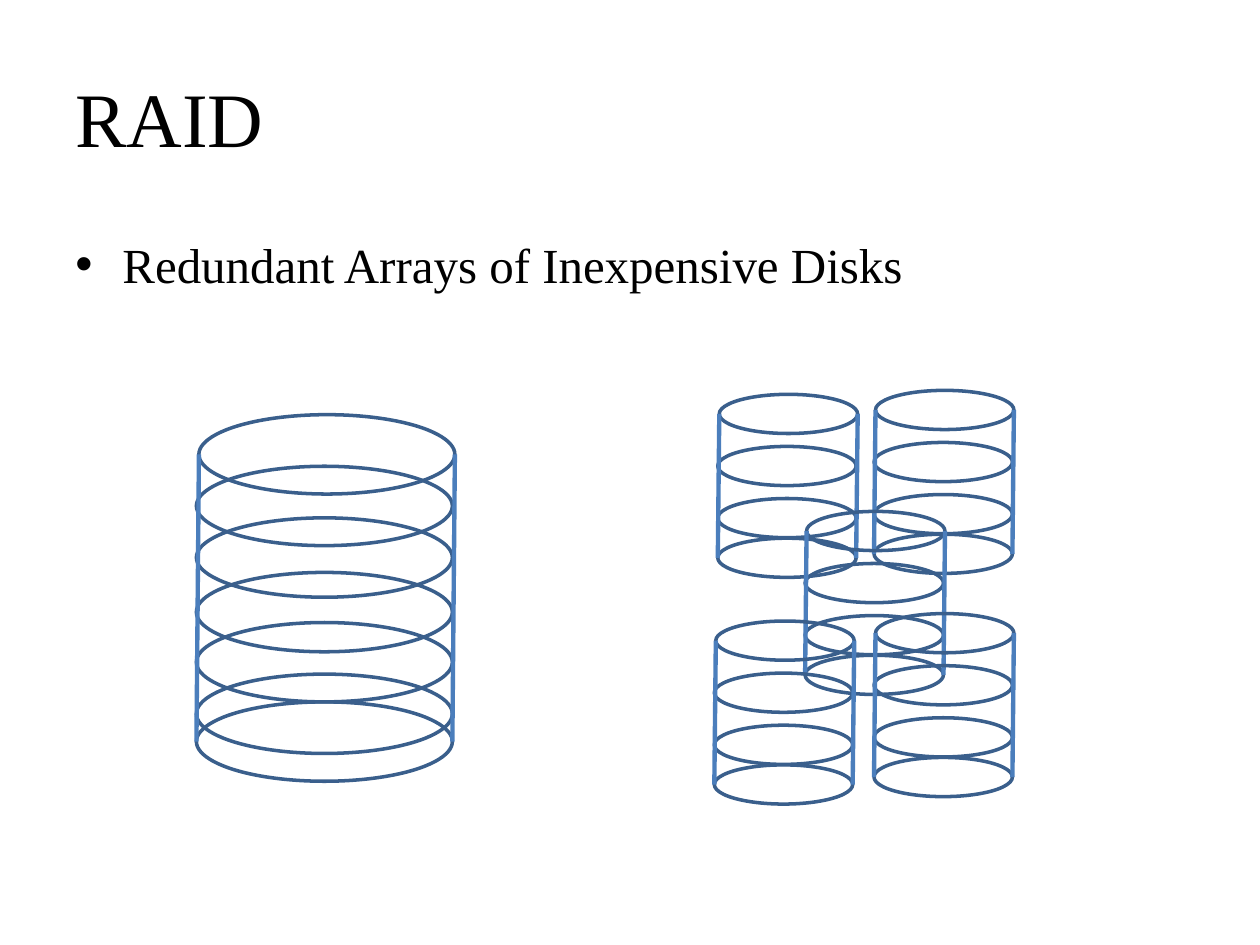
from dataclasses import dataclass

from lxml.etree import SubElement
from pptx import Presentation
from pptx.dml.color import RGBColor
from pptx.enum.shapes import MSO_CONNECTOR, MSO_SHAPE
from pptx.enum.text import MSO_ANCHOR
from pptx.oxml.ns import qn
from pptx.util import Cm, Pt

FONT = "Times New Roman"
TEXT_COLOR = "000000"
PLATTER_COLOR = "3A5F8C"
SIDE_COLOR = "4B7EBC"


@dataclass(frozen=True)
class DiskModel:
    """Disk proportions in cm; platter drops are measured from the top one."""
    width: float
    platter_height: float
    drops: tuple[float, ...]
    lean: float


@dataclass(frozen=True)
class Disk:
    left: float
    top: float
    model: DiskModel


LARGE = DiskModel(5.16, 1.6, (0, 1.04, 2.08, 3.18, 4.19, 5.23, 5.79), 0.05)
SMALL = DiskModel(2.79, 0.79, (0, 1.05, 2.1, 2.9), 0.03)

DISK_ARRAY = [
    Disk(14.5, 7.95, SMALL),
    Disk(17.65, 7.87, SMALL),
    Disk(16.26, 10.31, SMALL),
    Disk(14.43, 12.52, SMALL),
    Disk(17.65, 12.37, SMALL),
]
SINGLE_DISK = Disk(4.01, 8.36, LARGE)


def color(value: str) -> RGBColor:
    return RGBColor.from_string(value)


def add_text(slide, top: float, height: float, text: str, size: int):
    box = slide.shapes.add_textbox(Cm(1.27), Cm(top), Cm(22.86), Cm(height))
    frame = box.text_frame
    frame.word_wrap = True
    run = frame.paragraphs[0].add_run()
    run.text = text
    run.font.name = FONT
    run.font.size = Pt(size)
    run.font.color.rgb = color(TEXT_COLOR)
    return frame


def add_bullet(paragraph, indent: float) -> None:
    properties = paragraph._p.get_or_add_pPr()
    properties.set("marL", str(Cm(indent)))
    properties.set("indent", str(-Cm(indent)))
    SubElement(properties, qn("a:buFont"), typeface="Arial")
    SubElement(properties, qn("a:buChar"), char="•")


def add_platter(group, disk: Disk, left: float, drop: float) -> None:
    platter = group.shapes.add_shape(
        MSO_SHAPE.OVAL, Cm(left), Cm(disk.top + drop),
        Cm(disk.model.width), Cm(disk.model.platter_height))
    platter.shadow.inherit = False
    platter.fill.background()
    platter.line.color.rgb = color(PLATTER_COLOR)
    platter.line.width = Pt(2)


def add_side(group, disk: Disk, left: float) -> None:
    start = disk.top + disk.model.platter_height / 2
    side = group.shapes.add_connector(
        MSO_CONNECTOR.STRAIGHT, Cm(left), Cm(start),
        Cm(left - disk.model.lean), Cm(start + disk.model.drops[-1]))
    side.line.color.rgb = color(SIDE_COLOR)
    side.line.width = Pt(2.5)
    SubElement(side._element.spPr, qn("a:effectLst"))


def add_disk(group, disk: Disk) -> None:
    # Every platter below the top one sits slightly to the left
    for drop in disk.model.drops:
        add_platter(group, disk, disk.left - (disk.model.lean if drop else 0), drop)
    for left in (disk.left, disk.left + disk.model.width):
        add_side(group, disk, left)


def main() -> None:
    presentation = Presentation()
    presentation.slide_width, presentation.slide_height = Cm(25.4), Cm(19.05)
    slide = presentation.slides.add_slide(presentation.slide_layouts[6])

    # Title and definition
    title = add_text(slide, 0.76, 3.18, "RAID", 44)
    title.vertical_anchor = MSO_ANCHOR.MIDDLE
    definition = add_text(slide, 4.45, 12.57,
                          "Redundant Arrays of Inexpensive Disks", 28)
    definition.margin_top = Cm(0.27)
    add_bullet(definition.paragraphs[0], 0.95)

    # Five small disks on the right, one large disk on the left
    for disks in (DISK_ARRAY, [SINGLE_DISK]):
        group = slide.shapes.add_group_shape()
        for disk in disks:
            add_disk(group, disk)

    presentation.save("out.pptx")


if __name__ == "__main__":
    main()
